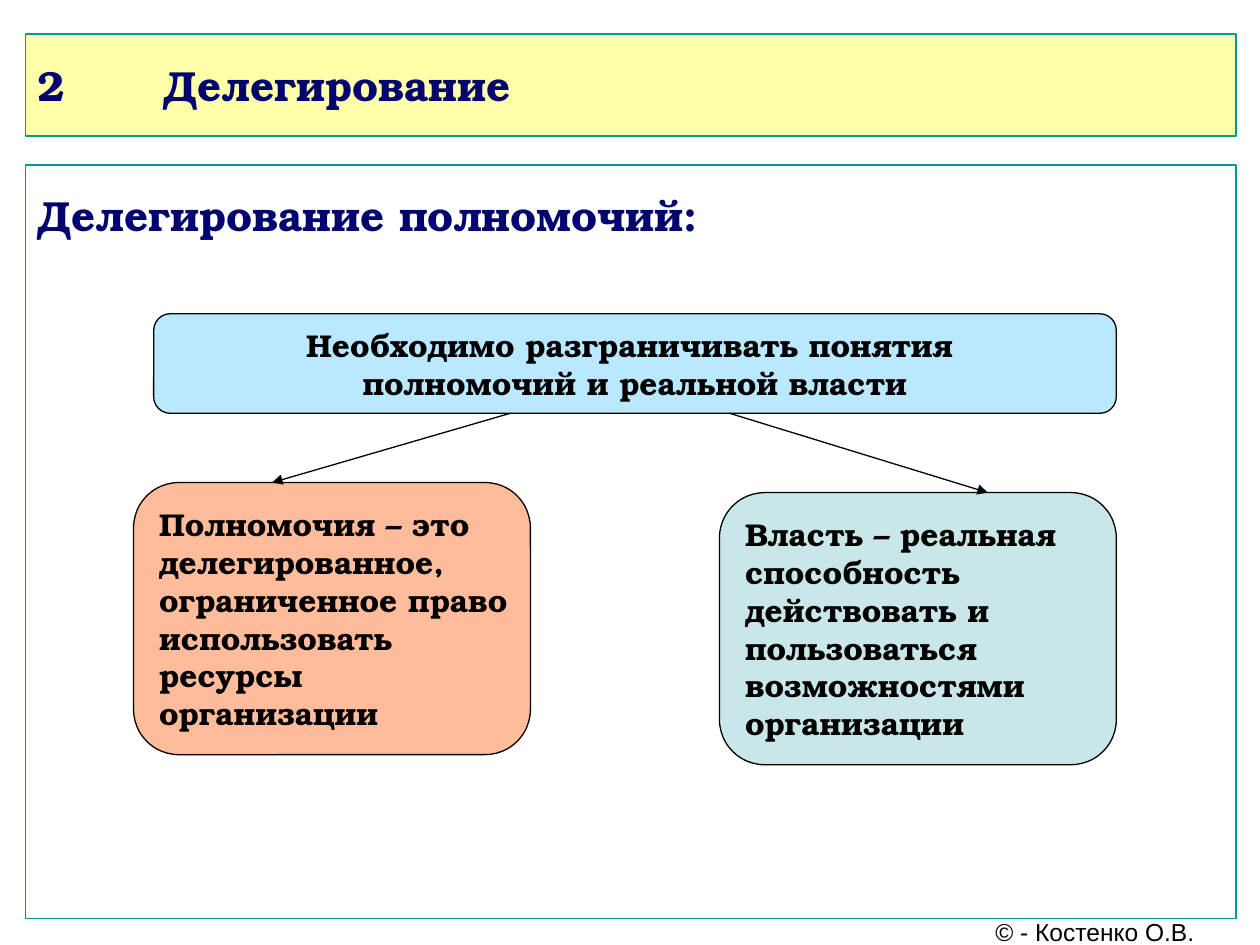
"""Build the slide that sets delegated authority apart from real power."""

from typing import NamedTuple

from lxml.etree import SubElement
from pptx import Presentation
from pptx.dml.color import RGBColor
from pptx.enum.shapes import MSO_CONNECTOR, MSO_SHAPE
from pptx.enum.text import MSO_ANCHOR, PP_ALIGN
from pptx.oxml.ns import qn
from pptx.util import Inches, Pt

COLUMNS, ROWS = 100, 75
WIDTH, HEIGHT = Inches(10), Inches(7.5)
SERIF, SANS = "TeX Gyre Bonum", "Arial"
COLORS = {
    "navy": "020570", "black": "000000", "teal": "009999",
    "yellow": "FFFFA9", "white": "FFFFFF", "blue": "B9E8FF",
    "orange": "FFBC9B", "mint": "C9E7E9",
}


class Area(NamedTuple):
    """A rectangle in grid columns and rows."""

    left: float
    top: float
    width: float
    height: float

    @property
    def bottom(self) -> float:
        return self.top + self.height


class Card(NamedTuple):
    """A rounded box with its lines of text."""

    area: Area
    fill: str
    lines: tuple[str, ...]
    align: PP_ALIGN = PP_ALIGN.LEFT


class Arrow(NamedTuple):
    """An arrow from the statement down to a definition."""

    start: float
    end: float
    target: Card


TITLE_AREA = Area(2, 2.7, 96.1, 8.1)
BODY_AREA = Area(2, 13.1, 96.1, 59.8)
FOOTER_AREA = Area(76.8, 72.9, 20.2, 2.1)
STATEMENT = Card(
    Area(12.2, 24.9, 76.4, 7.9), "blue",
    ("Необходимо разграничивать понятия ", "полномочий и реальной власти"),
    PP_ALIGN.CENTER,
)
AUTHORITY = Card(
    Area(10.6, 38.3, 31.5, 21.6), "orange",
    ("Полномочия – это", "делегированное,", "ограниченное право",
     "использовать", "ресурсы", "организации"),
)
POWER = Card(
    Area(57.1, 39.1, 31.5, 21.6), "mint",
    ("Власть – реальная", "способность", "действовать и",
     "пользоваться", "возможностями", "организации"),
)
ARROWS = (Arrow(40.5, 21.6, AUTHORITY), Arrow(57.9, 78.4, POWER))


def across(columns: float) -> int:
    """Turn grid columns into a length."""
    return round(WIDTH * columns / COLUMNS)


def down(rows: float) -> int:
    """Turn grid rows into a length."""
    return round(HEIGHT * rows / ROWS)


def bounds(area: Area) -> tuple[int, int, int, int]:
    """Give the left, top, width and height of an area."""
    return across(area.left), down(area.top), across(area.width), down(area.height)


def color(name: str) -> RGBColor:
    """Look up a named colour."""
    return RGBColor.from_string(COLORS[name])


def paint(shape, fill: str, line: str) -> None:
    """Fill and outline a shape."""
    shape.fill.solid()
    shape.fill.fore_color.rgb = color(fill)
    shape.line.color.rgb = color(line)
    shape.line.width = Pt(0.75)


def write(shape, text: str, size: float, ink: str, align: PP_ALIGN,
          face: str = SERIF, bold: bool = True) -> None:
    """Put text in a shape and format its runs."""
    frame = shape.text_frame
    frame.text = text
    for para in frame.paragraphs:
        para.alignment = align
        para.space_before = Pt(0)
        for span in para.runs:
            span.font.name = face
            span.font.size = Pt(size)
            span.font.bold = bold
            span.font.color.rgb = color(ink)


def place_panel(holder, area: Area, fill: str, text: str, anchor: MSO_ANCHOR,
                tabs: tuple[float, ...] = ()) -> None:
    """Move a placeholder, colour it and write its heading."""
    holder.left, holder.top, holder.width, holder.height = bounds(area)
    paint(holder, fill, "teal")
    write(holder, text, 24, "navy", PP_ALIGN.LEFT)
    holder.text_frame.vertical_anchor = anchor
    properties = holder.text_frame.paragraphs[0]._p.get_or_add_pPr()
    properties.set("marL", "0")
    properties.set("indent", "0")
    SubElement(properties, qn("a:buNone"))
    if tabs:
        stops = SubElement(properties, qn("a:tabLst"))
        for tab in tabs:
            SubElement(stops, qn("a:tab"), pos=str(across(tab)), algn="l")


def draw_card(page, card: Card) -> None:
    """Draw a rounded box with text."""
    box = page.shapes.add_shape(MSO_SHAPE.ROUNDED_RECTANGLE, *bounds(card.area))
    box.shadow.inherit = False
    paint(box, card.fill, "black")
    write(box, "\n".join(card.lines), 18, "black", card.align)
    box.text_frame.word_wrap = False
    box.text_frame.vertical_anchor = MSO_ANCHOR.MIDDLE


def draw_arrow(page, arrow: Arrow) -> None:
    """Draw an arrow from the statement to its target card."""
    line = page.shapes.add_connector(
        MSO_CONNECTOR.STRAIGHT,
        across(arrow.start), down(STATEMENT.area.bottom),
        across(arrow.end), down(arrow.target.area.top),
    )
    line.line.color.rgb = color("black")
    line.line.width = Pt(0.75)
    SubElement(line.line._get_or_add_ln(), qn("a:tailEnd"), type="triangle")
    SubElement(line._element.spPr, qn("a:effectLst"))


def draw_footer(page) -> None:
    """Write the copyright line."""
    box = page.shapes.add_textbox(*bounds(FOOTER_AREA))
    write(box, "© - Костенко О.В.", 14, "black", PP_ALIGN.CENTER, SANS, False)
    box.text_frame.word_wrap = False
    box.text_frame.vertical_anchor = MSO_ANCHOR.MIDDLE


def main() -> None:
    """Build and save the deck."""
    deck = Presentation()
    deck.slide_width, deck.slide_height = WIDTH, HEIGHT
    page = deck.slides.add_slide(deck.slide_layouts[1])
    title, body = page.placeholders
    place_panel(title, TITLE_AREA, "yellow", "2\t\tДелегирование",
                MSO_ANCHOR.MIDDLE, (7.8, 17.8))
    place_panel(body, BODY_AREA, "white", "Делегирование полномочий:", MSO_ANCHOR.TOP)
    body.text_frame.margin_top = down(1.9)
    for card in (STATEMENT, AUTHORITY, POWER):
        draw_card(page, card)
    for arrow in ARROWS:
        draw_arrow(page, arrow)
    draw_footer(page)
    deck.save("out.pptx")


if __name__ == "__main__":
    main()
